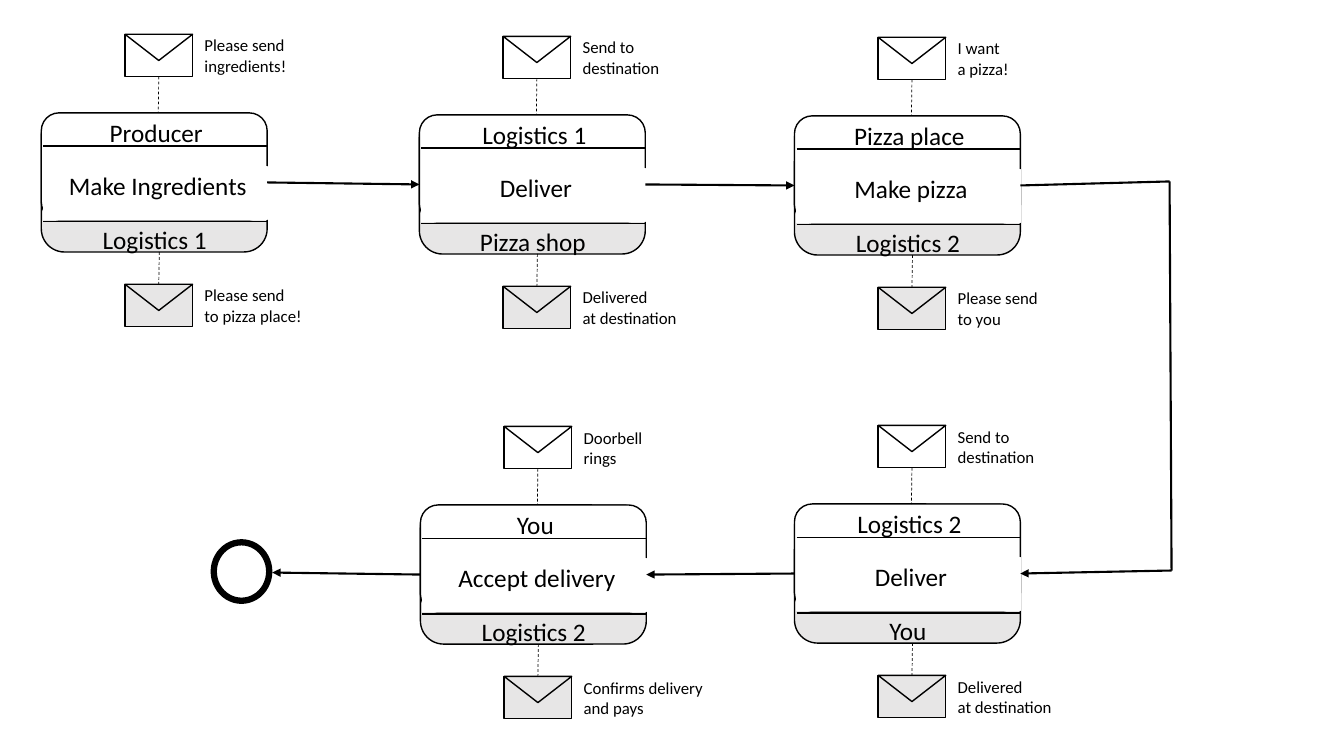
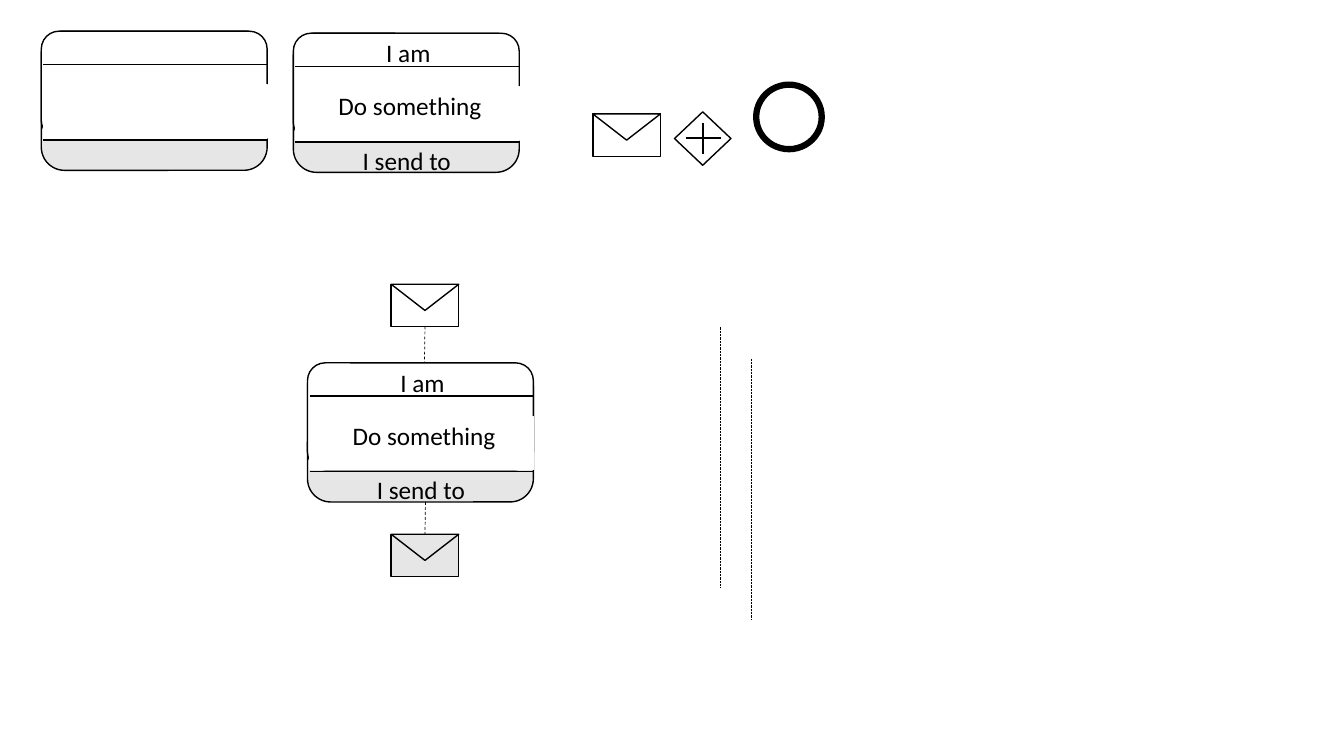
from lxml.etree import SubElement
from pptx import Presentation
from pptx.dml.color import RGBColor
from pptx.enum.dml import MSO_LINE
from pptx.enum.shapes import MSO_CONNECTOR, MSO_SHAPE
from pptx.enum.text import MSO_AUTO_SIZE, PP_ALIGN
from pptx.oxml.ns import qn
from pptx.util import Pt

EMU_PER_PX = 9144
COLORS = {"ink": "000000", "paper": "FFFFFF", "shade": "E7E6E6"}
FONT = "Calibri"
TOP, LEFT, BOTTOM, RIGHT = range(4)
CARD_W, CARD_H = 224, 138
ENVELOPE_W, ENVELOPE_H, FLAP_H = 67, 42, 26


def px(n):
    return round(n * EMU_PER_PX)


def rgb(name):
    return RGBColor.from_string(COLORS[name])


class Diagram:
    def __init__(self, prs):
        self.prs = prs
        self.s = None

    def new_slide(self):
        self.s = self.prs.slides.add_slide(self.prs.slide_layouts[6])

    def shape(self, kind, x, y, w, h, fill="paper", line="ink", weight=1):
        sp = self.s.shapes.add_shape(kind, px(x), px(y), px(w), px(h))
        sp.shadow.inherit = False
        sp.fill.solid()
        sp.fill.fore_color.rgb = rgb(fill)
        sp.line.color.rgb = rgb(line)
        sp.line.width = Pt(weight)
        return sp

    def text(self, x, y, w, h, lines, size, align):
        tf = self.s.shapes.add_textbox(px(x), px(y), px(w), px(h)).text_frame
        tf.word_wrap = True
        tf.auto_size = MSO_AUTO_SIZE.SHAPE_TO_FIT_TEXT
        for i, line in enumerate(lines):
            p = tf.paragraphs[0] if i == 0 else tf.add_paragraph()
            p.text = line
            p.alignment = align
            p.font.name = FONT
            p.font.size = Pt(size)
            p.font.color.rgb = rgb("ink")

    def line(self, start, end, weight=1, dash=None, arrow=False):
        """Each end is an (x, y) point or a (shape, side) pair."""
        joins = [not isinstance(e[0], int) for e in (start, end)]
        points = [(0, 0) if j else e for j, e in zip(joins, (start, end))]
        (x1, y1), (x2, y2) = points
        c = self.s.shapes.add_connector(
            MSO_CONNECTOR.STRAIGHT, px(x1), px(y1), px(x2), px(y2))
        if joins[0]:
            c.begin_connect(*start)
        if joins[1]:
            c.end_connect(*end)
        c.line.color.rgb = rgb("ink")
        c.line.width = Pt(weight)
        if dash:
            c.line.dash_style = dash
        spPr = c._element.spPr
        if arrow:
            SubElement(spPr.find(qn("a:ln")), qn("a:tailEnd"), type="triangle")
        SubElement(spPr, qn("a:effectLst"))

    def flow(self, start, end, arrow=True):
        self.line(start, end, 1.5, arrow=arrow)

    def card(self, x, y, labels=()):
        body = self.shape(MSO_SHAPE.ROUNDED_RECTANGLE, x, y, CARD_W, CARD_H, "shade")
        self.shape(MSO_SHAPE.ROUNDED_RECTANGLE, x, y, CARD_W, 106)
        for dy in (33, 108):
            self.line((x + 2, y + dy), (x + CARD_W, y + dy))
        self.shape(MSO_SHAPE.RECTANGLE, x + 2, y + 53, 222, 53, line="paper")
        boxes = ((1, -1, 226, 42), (6, 52, 219, 40), (1, 106, 223, 40))
        for (dx, dy, w, h), label in zip(boxes, labels):
            self.text(x + dx, y + dy, w, h, [label], 18, PP_ALIGN.CENTER)
        return body

    def envelope(self, x, y, fill="paper", caption=()):
        back = self.shape(MSO_SHAPE.RECTANGLE, x, y, ENVELOPE_W, ENVELOPE_H, fill)
        flap = self.shape(MSO_SHAPE.ISOSCELES_TRIANGLE, x, y, ENVELOPE_W, FLAP_H, fill)
        flap.rotation = 180
        if caption:
            self.text(x + 69, y - 4, 300, 50, caption, 12, PP_ALIGN.LEFT)
        return back

    def task(self, x, y, labels, received=(), sent=()):
        body = self.card(x, y, labels)
        inbox = self.envelope(x + 83, y - 78, "paper", received)
        outbox = self.envelope(x + 83, y + 170, "shade", sent)
        self.line((inbox, BOTTOM), (x + 116, y), 0.5, MSO_LINE.DASH)
        self.line((x + 117, y + CARD_H), (outbox, TOP), 0.5, MSO_LINE.DASH)
        return body

    def end_event(self, x, y, w, h):
        self.shape(MSO_SHAPE.OVAL, x, y, w, h, weight=4.5)

    def gateway(self, x, y, w, h):
        self.shape(MSO_SHAPE.DIAMOND, x, y, w, h)
        cx, cy = x + w // 2, y + h // 2
        self.flow((cx, cy - 15), (cx, cy + 16), arrow=False)
        self.flow((cx + 18, cy), (cx - 17, cy), arrow=False)


def pizza_process(d):
    d.new_slide()
    produce = d.task(41, 112, ("Producer", "Make Ingredients", "Logistics 1"),
                     ("Please send", "ingredients!"), ("Please send", "to pizza place!"))
    ship = d.task(416, 114, ("Logistics 1", "Deliver", "Pizza shop"),
                  ("Send to", "destination"), ("Delivered", "at destination"))
    bake = d.task(788, 115, ("Pizza place", "Make pizza", "Logistics 2"),
                  ("I want", "a pizza!"), ("Please send", "to you"))
    deliver = d.task(788, 500, ("Logistics 2", "Deliver", "You"),
                     ("Send to", "destination"), ("Delivered", "at destination"))
    accept = d.task(417, 501, ("You", "Accept delivery", "Logistics 2"),
                    ("Doorbell", "rings"), ("Confirms delivery", "and pays"))
    d.flow((produce, RIGHT), (ship, LEFT))
    d.flow((ship, RIGHT), (bake, LEFT))
    upper_turn, lower_turn = (1160, 180), (1162, 566)
    d.flow((bake, RIGHT), upper_turn, arrow=False)
    d.flow(upper_turn, lower_turn, arrow=False)
    d.flow(lower_turn, (deliver, RIGHT))
    d.flow((deliver, LEFT), (accept, RIGHT))
    d.flow((accept, LEFT), (270, 568))
    d.end_event(212, 538, 55, 58)


def building_blocks(d):
    labels = ("I am", "Do something", "I send to")
    d.new_slide()
    d.card(41, 31)
    d.card(291, 33, labels)
    d.envelope(588, 113)
    d.gateway(669, 111, 56, 53)
    d.end_event(750, 84, 65, 64)
    d.task(305, 360, labels)
    for x, y in ((714, 324), (745, 356)):
        d.line((x, y), (x, y + 259), 0.5, MSO_LINE.ROUND_DOT)


def main():
    prs = Presentation()
    prs.slide_width, prs.slide_height = px(1333), px(750)
    d = Diagram(prs)
    pizza_process(d)
    building_blocks(d)
    prs.save("out.pptx")


if __name__ == "__main__":
    main()
